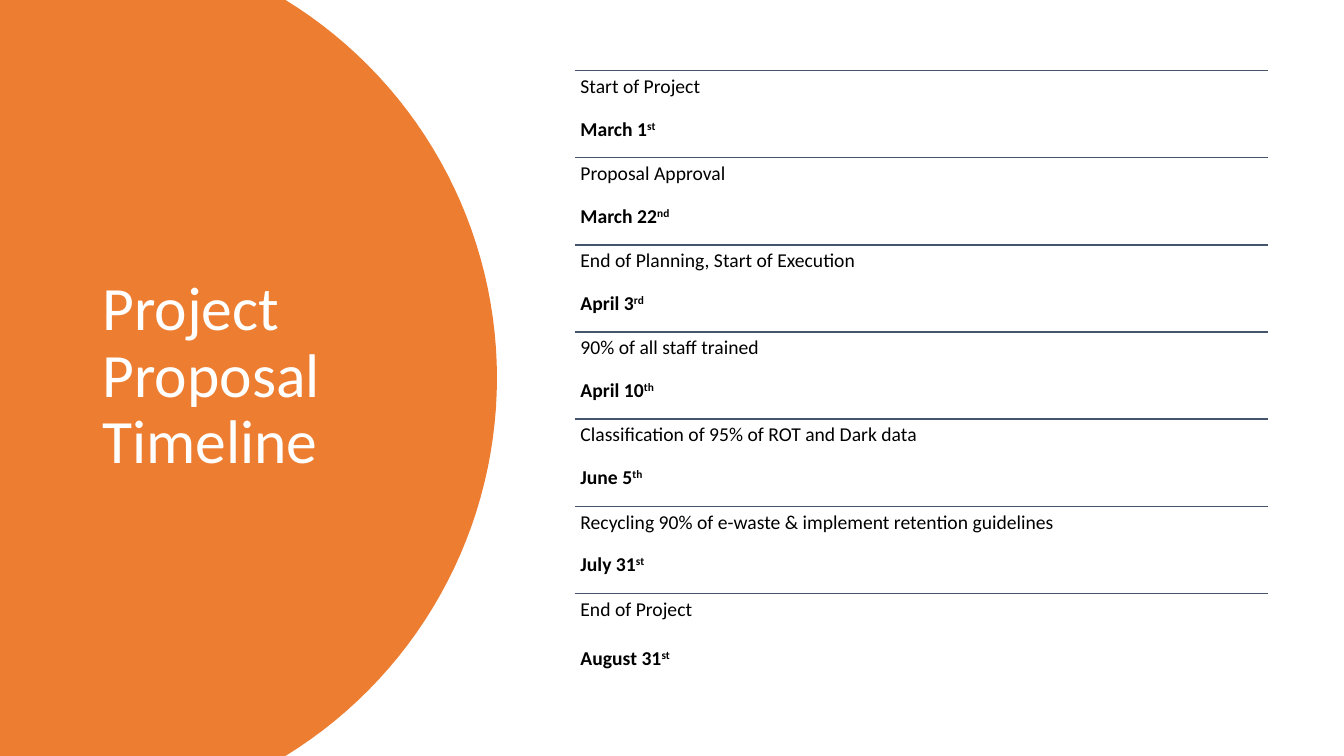
from math import asin, cos, sin

from lxml.etree import SubElement
from pptx import Presentation
from pptx.dml.color import RGBColor
from pptx.enum.shapes import MSO_CONNECTOR as CONN
from pptx.enum.text import MSO_ANCHOR as ANCHOR, MSO_AUTO_SIZE as AUTO, PP_ALIGN as ALIGN
from pptx.oxml.ns import qn
from pptx.util import Pt


def rgb(hex_color):
    return RGBColor.from_string(hex_color)


def set_font(p, size, color):
    p.line_spacing = 0.9
    p.font.name = "Calibri"
    p.font.size = Pt(size)
    p.font.color.rgb = rgb(color)


WIDTH, HEIGHT = 960, 540
LEFT, TOP, ROW_W, ROW_H = 410.4, 50.4, 495.4, 62.25
MILESTONES = [
    ("Start of Project", "March 1", "st"),
    ("Proposal Approval", "March 22", "nd"),
    ("End of Planning, Start of Execution", "April 3", "rd"),
    ("90% of all staff trained", "April 10", "th"),
    ("Classification of 95% of ROT and Dark data", "June 5", "th"),
    ("Recycling 90% of e-waste & implement retention guidelines", "July 31", "st"),
    ("End of Project", "August 31", "st"),
]

prs = Presentation()
prs.slide_width, prs.slide_height = Pt(WIDTH), Pt(HEIGHT)
s = prs.slides.add_slide(prs.slide_layouts[5])

# Orange panel: a circle cut off by the slide edges
RADIUS, CENTER_X, STEPS = 316.8, 38.2, 60
half = asin(HEIGHT / 2 / RADIUS)
angles = [half * (2 * i / STEPS - 1) for i in range(STEPS + 1)]
arc = [(Pt(CENTER_X + RADIUS * cos(a)), Pt(HEIGHT / 2 + RADIUS * sin(a))) for a in angles]
builder = s.shapes.build_freeform(0, 0)
builder.add_line_segments(arc + [(0, Pt(HEIGHT))], close=True)
panel = builder.convert_to_shape()
panel.shadow.inherit = False
panel.fill.solid()
panel.fill.fore_color.rgb = rgb("ED7D31")
panel.line.fill.background()

# Title, in front of the panel
title = s.shapes.title
title.left, title.top, title.width, title.height = Pt(66), Pt(50.4), Pt(232.6), Pt(438.5)
panel._element.addnext(title._element)
tf = title.text_frame
tf.text = "Project Proposal Timeline"
tf.word_wrap = True
tf.auto_size = AUTO.NONE
tf.vertical_anchor = ANCHOR.MIDDLE
tf.paragraphs[0].alignment = ALIGN.LEFT
set_font(tf.paragraphs[0], 44, "FFFFFF")

# Milestones: a rule above each label and date
for i, (label, date, suffix) in enumerate(MILESTONES):
    y = TOP + i * ROW_H
    rule = s.shapes.add_connector(CONN.STRAIGHT, Pt(LEFT), Pt(y), Pt(LEFT + ROW_W), Pt(y))
    rule.line.color.rgb = rgb("44546A")
    rule.line.width = Pt(1)
    SubElement(rule._element.spPr, qn("a:effectLst"))

    box = s.shapes.add_textbox(Pt(LEFT), Pt(y), Pt(ROW_W), Pt(ROW_H))
    tf = box.text_frame
    tf.word_wrap = True
    tf.margin_left = tf.margin_right = tf.margin_top = tf.margin_bottom = Pt(4.2)
    p = tf.paragraphs[0]
    p.text = label
    set_font(p, 14, "000000")

    p = tf.add_paragraph()
    set_font(p, 14, "000000")
    p.font.bold = True
    p.space_before = Pt(20.3 if i == len(MILESTONES) - 1 else 15.4)
    p.add_run().text = date
    r = p.add_run()
    r.text = suffix
    r.font._element.set("baseline", "30000")

prs.save("out.pptx")
